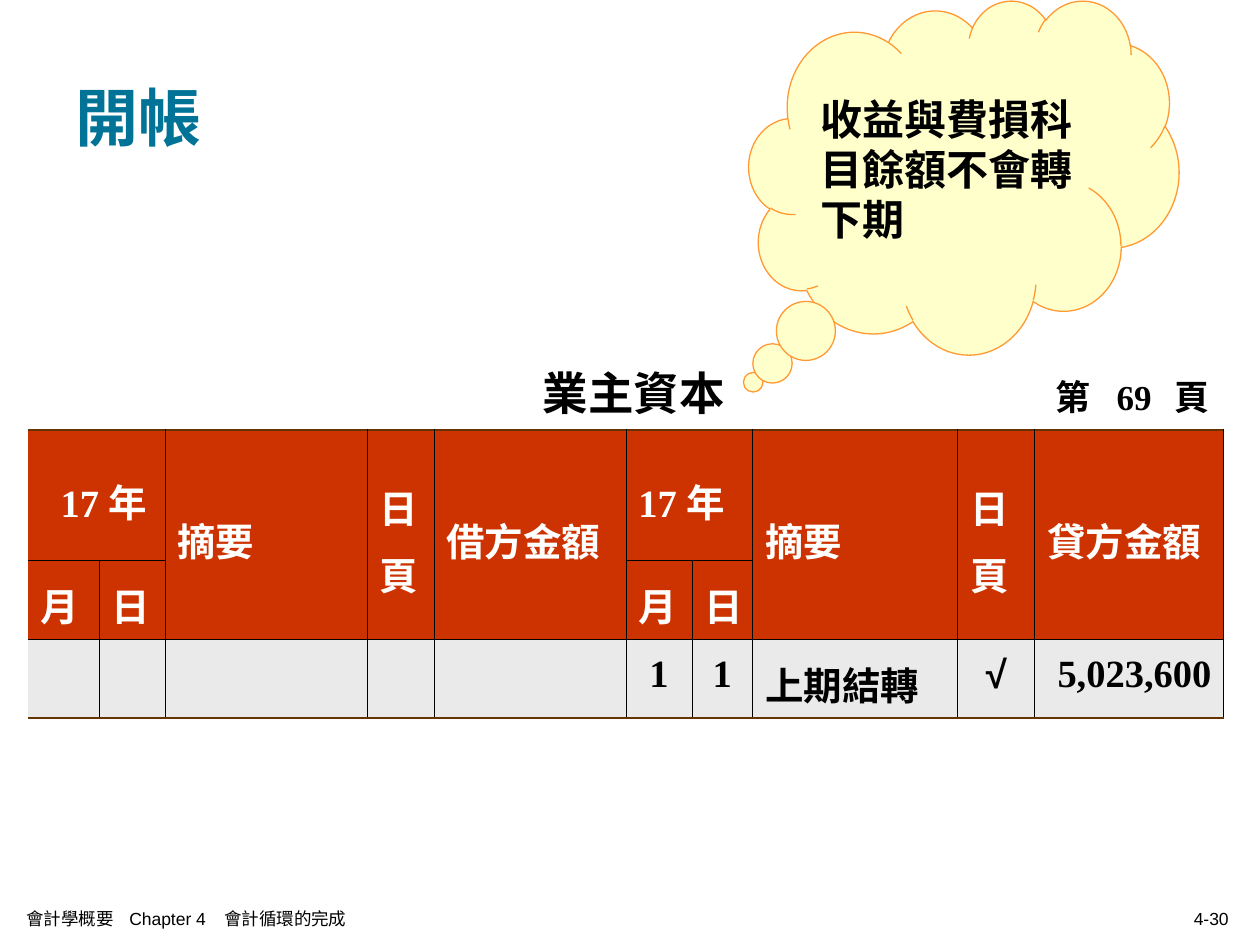
from dataclasses import dataclass

from lxml import etree
from pptx import Presentation
from pptx.dml.color import RGBColor
from pptx.enum.shapes import MSO_SHAPE
from pptx.enum.text import MSO_ANCHOR, PP_ALIGN
from pptx.oxml.ns import qn
from pptx.util import Emu, Pt

CLOUD = MSO_SHAPE.CLOUD_CALLOUT
TOP, MIDDLE = MSO_ANCHOR.TOP, MSO_ANCHOR.MIDDLE
LEFT, CENTER, RIGHT = PP_ALIGN.LEFT, PP_ALIGN.CENTER, PP_ALIGN.RIGHT


@dataclass(frozen=True)
class Theme:
    serif: str = "Times New Roman"
    sans: str = "Arial"
    black: str = "000000"
    white: str = "FFFFFF"
    teal: str = "007396"
    header: str = "CC3300"
    entry: str = "EAEAEA"
    rule: str = "663300"
    cloud: str = "FFFFCC"
    cloud_line: str = "FF9933"
    title: float = 36
    account: float = 26
    note: float = 24
    cell: float = 22
    page: float = 20
    footer: float = 10
    thin: float = 0.45
    thick: float = 1.08


T = Theme()


@dataclass(frozen=True)
class Run:
    text: str
    size: float
    color: str = T.black
    font: str = T.serif
    bold: bool = True


@dataclass(frozen=True)
class TextBox:
    x: int
    y: int
    w: int
    h: int
    run: Run
    align: PP_ALIGN = LEFT
    tabs: tuple[int, ...] = ()


@dataclass(frozen=True)
class Cell:
    row: int
    col: int
    text: str = ""
    rows: int = 1
    cols: int = 1
    align: PP_ALIGN = LEFT
    font: str = T.serif
    indent: int = 0


def px(n: int) -> Emu:
    return Emu(round(n * 914400 / 126))


def rgb(color: str) -> RGBColor:
    return RGBColor.from_string(color)


def write(tf, runs: list[Run], align=LEFT, tabs=(), indent=0, spacing=None) -> None:
    p = tf.paragraphs[0]
    pPr = p._p.get_or_add_pPr()
    if tabs:
        tab_list = etree.SubElement(pPr, qn("a:tabLst"))
        for pos in tabs:
            etree.SubElement(tab_list, qn("a:tab"), pos=str(px(pos)), algn="l")
    if indent:
        pPr.set("indent", str(px(indent)))
    p.alignment = align
    if spacing:
        p.line_spacing = spacing
    for run in runs:
        r = p.add_run()
        r.text = run.text
        r.font.name, r.font.size, r.font.bold = run.font, Pt(run.size), run.bold
        r.font.color.rgb = rgb(run.color)


def add_text(s, box: TextBox) -> None:
    sp = s.shapes.add_textbox(px(box.x), px(box.y), px(box.w), px(box.h))
    tf = sp.text_frame
    tf.word_wrap = True
    tf.vertical_anchor = MIDDLE
    write(tf, [box.run], box.align, box.tabs)


def add_border(tcPr, side: str, color: str | None, width: float) -> None:
    ln = etree.SubElement(tcPr, qn(f"a:ln{side}"), w=str(Pt(width)))
    if color is None:
        etree.SubElement(ln, qn("a:noFill"))
    else:
        fill = etree.SubElement(ln, qn("a:solidFill"))
        etree.SubElement(fill, qn("a:srgbClr"), val=color)


def style_cell(table, cell: Cell) -> None:
    """Merge the span, then give its outer edges and fill by position."""
    last_row, last_col = cell.row + cell.rows - 1, cell.col + cell.cols - 1
    if cell.rows * cell.cols > 1:
        table.cell(cell.row, cell.col).merge(table.cell(last_row, last_col))
    caption = cell.row == 0
    black, brown, none = (T.black, T.thin), (T.rule, T.thick), (None, T.thin)
    left = none if cell.col == 0 else black
    right = none if caption else black
    top = none if caption else brown if cell.row == 1 else black
    bottom = brown if last_row in (0, len(ROWS) - 1) else black
    for row in range(cell.row, last_row + 1):
        for col in range(cell.col, last_col + 1):
            tc = table.cell(row, col)
            tcPr = tc._tc.get_or_add_tcPr()
            add_border(tcPr, "L", *(left if col == cell.col else none))
            add_border(tcPr, "R", *(right if col == last_col else none))
            add_border(tcPr, "T", *(top if row == cell.row else none))
            add_border(tcPr, "B", *(bottom if row == last_row else none))
            if caption:
                tc.fill.background()
            else:
                tc.fill.solid()
                tc.fill.fore_color.rgb = rgb(T.entry if cell.row == 3 else T.header)


def add_ledger(s) -> None:
    frame = s.shapes.add_table(len(ROWS), len(COLUMNS), px(28), px(338),
                               px(sum(COLUMNS)), px(sum(ROWS)))
    table = frame.table
    table.first_row = table.horz_banding = False
    for column, width in zip(table.columns, COLUMNS):
        column.width = px(width)
    for row, height in zip(table.rows, ROWS):
        row.height = px(height)

    # Caption row: account name and page number
    style_cell(table, Cell(0, 0, cols=len(COLUMNS)))
    write(table.cell(0, 0).text_frame,
          [Run("\t業主資本", T.account), Run("\t第\t69\t頁", T.page)],
          tabs=(502, 1015, 1076, 1134), spacing=1.2)

    # Headings and entries
    for cell in CELLS:
        style_cell(table, cell)
        tc = table.cell(cell.row, cell.col)
        heading = cell.row < 3
        tc.vertical_anchor = MIDDLE if heading else TOP
        if cell.text:
            color = T.white if heading else T.black
            write(tc.text_frame, [Run(cell.text, T.cell, color, cell.font)],
                  cell.align, indent=cell.indent, spacing=1.2)


def add_thought(s) -> None:
    sp = s.shapes.add_shape(CLOUD, px(749), px(0), px(430), px(354))
    sp.adjustments[0], sp.adjustments[1] = -0.49, 0.58
    sp.shadow.inherit = False
    sp.fill.solid()
    sp.fill.fore_color.rgb = rgb(T.cloud)
    sp.line.color.rgb = rgb(T.cloud_line)
    sp.line.width = Pt(0.75)
    tf = sp.text_frame
    tf.word_wrap = True
    tf.vertical_anchor = MIDDLE
    write(tf, [Run("收益與費損科目餘額不會轉下期", T.note, font=T.sans)])


COLUMNS = (71, 66, 202, 67, 192, 66, 61, 205, 77, 189)
ROWS = (92, 130, 79, 79)
CELLS = [
    Cell(1, 0, "17 年", cols=2, indent=20),
    Cell(1, 5, "17 年", cols=2),
    *(Cell(1, col, text, rows=2) for col, text in
      ((2, "摘要"), (3, "日頁"), (4, "借方金額"), (7, "摘要"), (8, "日頁"), (9, "貸方金額"))),
    *(Cell(2, col + i, text) for col in (0, 5) for i, text in enumerate("月日")),
    *(Cell(3, col) for col in range(5)),
    *(Cell(3, col, "1", align=CENTER) for col in (5, 6)),
    Cell(3, 7, "上期結轉"),
    Cell(3, 8, "√", align=CENTER, font=T.sans),
    Cell(3, 9, "5,023,600", align=RIGHT),
]
TITLE = TextBox(63, 38, 1134, 157, Run("開帳", T.title, T.teal))
FOOTERS = [
    TextBox(14, 897, 643, 42, tabs=(103, 198),
            run=Run("會計學概要\tChapter 4\t會計循環的完成", T.footer, font=T.sans, bold=False)),
    TextBox(946, 897, 295, 42, Run("4-30", T.footer, font=T.sans, bold=False), RIGHT),
]


def main() -> None:
    prs = Presentation()
    prs.slide_width, prs.slide_height = px(1260), px(945)
    s = prs.slides.add_slide(prs.slide_layouts[6])
    add_text(s, TITLE)
    add_ledger(s)
    add_thought(s)
    for footer in FOOTERS:
        add_text(s, footer)
    prs.save("out.pptx")


if __name__ == "__main__":
    main()
